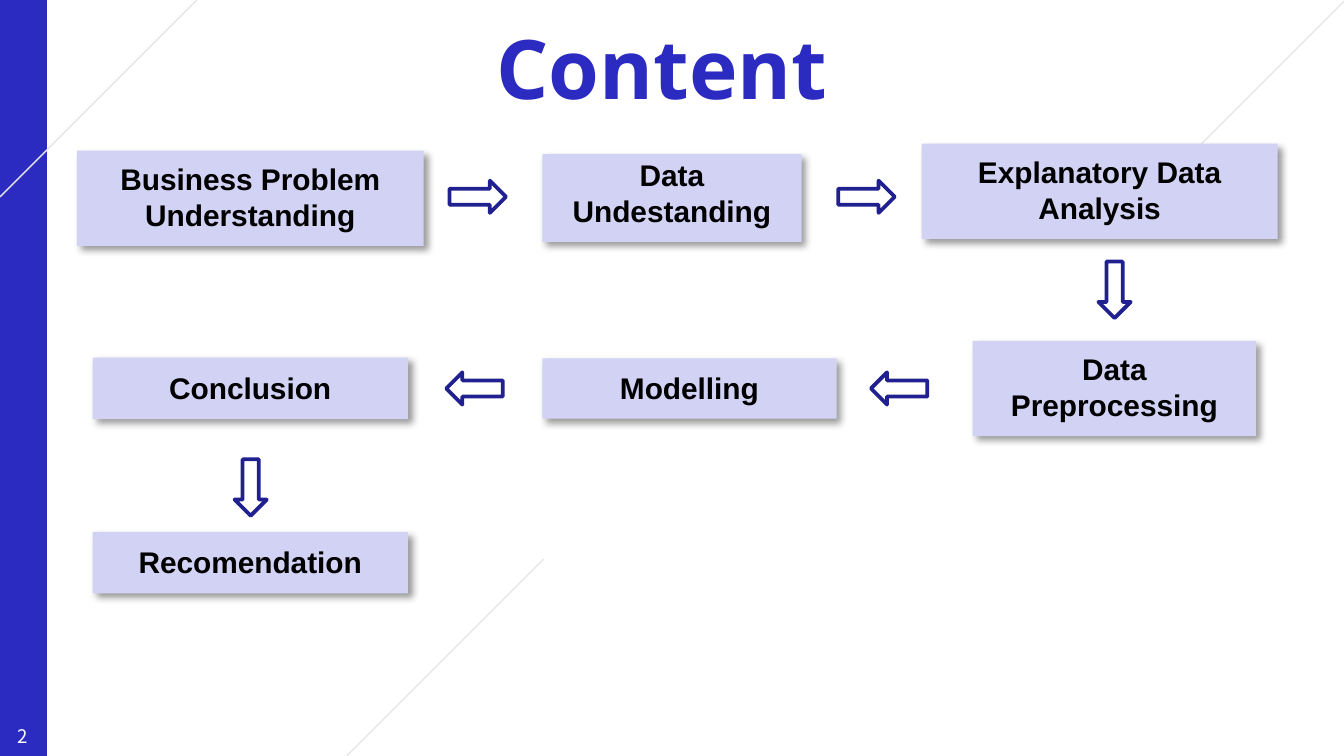
from lxml import etree
from pptx import Presentation
from pptx import util as u
from pptx.dml.color import RGBColor
from pptx.enum import shapes, text
from pptx.oxml.ns import qn

BLUE = RGBColor(0x2B, 0x2B, 0xC1)
NAVY = RGBColor(0x20, 0x20, 0x91)
LAVENDER = RGBColor(0xD2, 0xD2, 0xF5)
GREY = RGBColor(0xE7, 0xE7, 0xE7)
WHITE = RGBColor(0xFF, 0xFF, 0xFF)
BLACK = RGBColor(0, 0, 0)

W = u.Inches(10)
H = W * 9 // 16
MIDDLE, BOTTOM = text.MSO_ANCHOR.MIDDLE, text.MSO_ANCHOR.BOTTOM
RECT = shapes.MSO_SHAPE.RECTANGLE
ARROW = shapes.MSO_SHAPE.RIGHT_ARROW

BAR = (-0.1, 0, 3.6, 100)
TITLE = (30.8, 0, 36.9, 17.7)
NUMBER = (-0.1, 94.8, 3.6, 5.2)
ARROW_SIZE = (4.2, 4.27)
RUN_X, RUN_Y = 14.65, 26.05
DIAGONALS = [(0, 26.05), (25.8, 100), (85.45, 26.05)]
STEPS = [
    ("Business Problem Understanding", 5.73, 19.95, 25.8, 12.6),
    ("Data Undestanding", 40.35, 20.4, 19.3, 11.6),
    ("Explanatory Data Analysis", 68.57, 19.02, 26.5, 12.6),
    ("Data Preprocessing", 72.37, 45.1, 21.1, 12.6),
    ("Modelling", 40.35, 47.4, 21.9, 8),
    ("Conclusion", 6.9, 47.3, 23.45, 8.15),
    ("Recomendation", 6.9, 70.35, 23.45, 8.15),
]
ARROWS = [
    (33.45, 23.9, 0),
    (62.37, 23.9, 0),
    (80.83, 36.2, 90),
    (64.8, 49.25, 180),
    (33.2, 49.25, 180),
    (16.55, 62.35, 90),
]


def place(x, y):
    return round(W * x / 100), round(H * y / 100)


def set_all(obj, values):
    for name, value in values.items():
        setattr(obj, name, value)


def write(sp, words, anchor, color, **font):
    tf = sp.text_frame
    set_all(tf, {"word_wrap": True, "vertical_anchor": anchor})
    sides = ("left", "right", "top", "bottom")
    set_all(tf, {f"margin_{side}": u.Inches(0.1) for side in sides})
    p = tf.paragraphs[0]
    p.alignment = text.PP_ALIGN.CENTER
    r = p.add_run()
    r.text = words
    set_all(r.font, font)
    r.font.color.rgb = color


def add_text(s, area, *args, **font):
    sp = s.shapes.add_textbox(*place(*area[:2]), *place(*area[2:]))
    write(sp, *args, **font)


def add_block(s, kind, area, fill):
    sp = s.shapes.add_shape(kind, *place(*area[:2]), *place(*area[2:]))
    sp.shadow.inherit = False
    sp.fill.solid()
    sp.fill.fore_color.rgb = fill
    sp.line.fill.background()
    return sp


def add_shadow(sp):
    effects = sp._element.spPr.find(qn("a:effectLst"))
    shadow = etree.SubElement(
        effects, qn("a:outerShdw"), blurRad=str(u.Pt(4)), dist=str(u.Pt(3)),
        dir="2700000", algn="tl", rotWithShape="0")
    color = etree.SubElement(shadow, qn("a:srgbClr"), val=str(BLACK))
    etree.SubElement(color, qn("a:alpha"), val="40000")


def add_step(s, words, *area):
    sp = add_block(s, RECT, area, LAVENDER)
    add_shadow(sp)
    write(sp, words, BOTTOM, BLACK, name="Arial", size=u.Pt(16), bold=True)


def add_arrow(s, x, y, turn):
    sp = add_block(s, ARROW, (x, y, *ARROW_SIZE), WHITE)
    sp.rotation = turn
    sp.line.color.rgb = NAVY
    sp.line.width = u.Pt(2)
    etree.SubElement(sp.line._get_or_add_ln(), qn("a:round"))


def add_diagonal(s, x, y):
    line = s.shapes.add_connector(
        shapes.MSO_CONNECTOR.STRAIGHT, *place(x, y),
        *place(x + RUN_X, y - RUN_Y))
    line.line.color.rgb = GREY
    line.line.width = u.Pt(0.75)
    etree.SubElement(line._element.spPr, qn("a:effectLst"))


def main():
    prs = Presentation()
    set_all(prs, {"slide_width": W, "slide_height": H})
    s = prs.slides.add_slide(prs.slide_layouts[6])
    add_block(s, RECT, BAR, BLUE)
    add_text(s, TITLE, "Content", MIDDLE, BLUE,
             name="Open Sans", size=u.Pt(44), bold=True)
    add_text(s, NUMBER, "2", MIDDLE, WHITE,
             name="Noto Sans CJK KR", size=u.Pt(10))
    for diagonal in DIAGONALS:
        add_diagonal(s, *diagonal)
    for step in STEPS:
        add_step(s, *step)
    for arrow in ARROWS:
        add_arrow(s, *arrow)
    prs.save("out.pptx")


if __name__ == "__main__":
    main()
